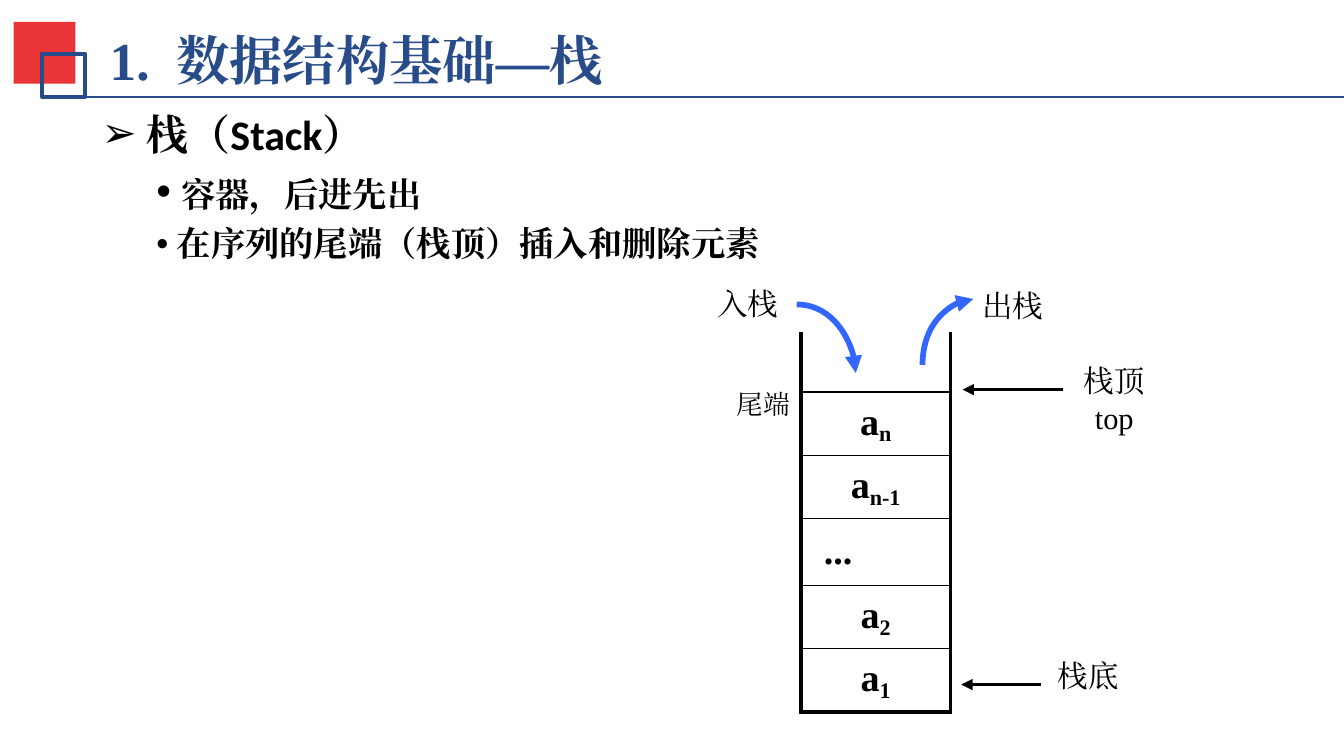
from lxml import etree
from pptx import Presentation
from pptx.dml.color import RGBColor
from pptx.enum import shapes, text
from pptx.oxml import ns
from pptx.util import Pt

NAVY = RGBColor(0x28, 0x4C, 0x8A)
RED = RGBColor(0xE9, 0x35, 0x38)
BLUE = RGBColor(0x33, 0x66, 0xFF)
BLACK = RGBColor(0, 0, 0)
SERIF = "Times New Roman"
CENTER = text.PP_ALIGN.CENTER
STRAIGHT, CURVE = shapes.MSO_CONNECTOR.STRAIGHT, shapes.MSO_CONNECTOR.CURVE


def write(p, words, size=16, font=SERIF, color=BLACK, bold=False, base=0, spacing=0):
    """Append one formatted run to a paragraph."""
    r = p.add_run()
    r.text = words
    r.font.size, r.font.name, r.font.bold = Pt(size), font, bold
    r.font.color.rgb = color
    rPr = r.font._element
    etree.SubElement(rPr, ns.qn("a:ea")).set("typeface", SERIF)
    if base:
        rPr.set("baseline", str(base * 1000))
    if spacing:
        rPr.set("spc", str(spacing * 100))


def connect(x1, y1, x2, y2, color=BLACK, width=1.75, kind=STRAIGHT, arrow=True, turn=0):
    """Draw a straight or quarter-curve connector, with an arrowhead at its end."""
    c = s.shapes.add_connector(kind, Pt(x1), Pt(y1), Pt(x2), Pt(y2))
    c.line.color.rgb, c.line.width = color, Pt(width)
    spPr = c._element.spPr
    if arrow:
        etree.SubElement(c.line._ln, ns.qn("a:tailEnd")).set("type", "triangle")
    if kind == CURVE:
        spPr.find(ns.qn("a:prstGeom")).set("prst", "curvedConnector2")
    if turn:
        spPr.find(ns.qn("a:xfrm")).set("rot", str(turn * 60000))
    etree.SubElement(spPr, ns.qn("a:effectLst"))


prs = Presentation()
prs.slide_width, prs.slide_height = Pt(705.6), Pt(396.8)
s = prs.slides.add_slide(prs.slide_layouts[6])

# Title with its two squares and rule
tf = s.shapes.add_textbox(Pt(52.6), Pt(11.5), Pt(497.5), Pt(39.6)).text_frame
tf.word_wrap = True
tf.margin_left = tf.margin_right = Pt(5)
tf.margin_top = tf.margin_bottom = Pt(2.9)
p = tf.paragraphs[0]
title = dict(size=28, color=NAVY, bold=True)
write(p, "1.", **title)
write(p, " ", spacing=7, **title)
write(p, "数据结构基础—栈", font="Arial", **title)

for x, y, side, fill in [(7.2, 11.5, 32.4, RED), (22, 28.2, 22.6, None)]:
    sp = s.shapes.add_shape(shapes.MSO_SHAPE.RECTANGLE, Pt(x), Pt(y), Pt(side), Pt(side))
    sp.shadow.inherit = False
    if fill:
        sp.fill.solid()
        sp.fill.fore_color.rgb = fill
        sp.line.fill.background()
    else:
        sp.fill.background()
        sp.line.color.rgb, sp.line.width = NAVY, Pt(2)
connect(27.4, 51, 705.6, 51, NAVY, 0.75, arrow=False)

# Bulleted points: mark, left margin, first-line indent, runs with sizes
points = [
    ("➢", 23.8, -23.8, [("栈（Stack）", 22)]),
    ("•", 28.8, 0, [(" ", 22), ("容器，后进先出", 18)]),
    ("•", 28.8, 0, [(" 在序列的尾端（栈顶）插入和删除元素", 18)]),
]
tf = s.shapes.add_textbox(Pt(46.8), Pt(54), Pt(618.5), Pt(288)).text_frame
tf.word_wrap = True
tf.margin_left = tf.margin_right = Pt(6.5)
tf.margin_top = tf.margin_bottom = Pt(2.9)
for i, (mark, margin, indent, runs) in enumerate(points):
    p = tf.add_paragraph() if i else tf.paragraphs[0]
    pPr = p._p.get_or_add_pPr()
    pPr.set("marL", str(int(Pt(margin))))
    pPr.set("indent", str(int(Pt(indent))))
    p.space_before = Pt(runs[-1][1] * 0.2)
    etree.SubElement(pPr, ns.qn("a:buFont")).set("typeface", "Arial")
    etree.SubElement(pPr, ns.qn("a:buChar")).set("char", mark)
    for words, size in runs:
        write(p, words, size, "Calibri", bold=True)

# Stack: open at the top, one element per cell
cells = [("", "", 31.5), ("a", "n", 33), ("a", "n-1", 33),
         ("...", "", 35.2), ("a", "2", 33), ("a", "1", 33)]
height = sum(h for _, _, h in cells)
table = s.shapes.add_table(len(cells), 1, Pt(420.5), Pt(174.4), Pt(78.5), Pt(height)).table
table.first_row = table.horz_banding = False
for i, (name, index, h) in enumerate(cells):
    table.rows[i].height = Pt(h)
    cell = table.cell(i, 0)
    cell.vertical_anchor = text.MSO_ANCHOR.MIDDLE
    p = cell.text_frame.paragraphs[0]
    if name:
        p.space_before = Pt(3)
        write(p, name, 20, bold=True)
    if index:
        p.alignment = CENTER
        write(p, index, 20, bold=True, base=-18)
    elif name:
        cell.margin_left = Pt(12)
    tcPr = cell._tc.get_or_add_tcPr()
    borders = {"L": 2.25, "R": 2.25, "T": 1 if i else 0,
               "B": 2.25 if i == len(cells) - 1 else 1}
    for side, width in borders.items():
        ln = etree.SubElement(tcPr, ns.qn("a:ln" + side), w=str(int(Pt(width))))
        if width:
            fill = etree.SubElement(ln, ns.qn("a:solidFill"))
            etree.SubElement(fill, ns.qn("a:srgbClr")).set("val", str(BLACK))
        else:
            etree.SubElement(ln, ns.qn("a:noFill"))
    cell.fill.background()

# Labels around the stack: lines, left, top, width, height, size
labels = [
    (["栈底"], 546.5, 341.3, 49.7, 26.6, 16),
    (["栈顶", "top"], 550.8, 186.5, 68.4, 46, 16),
    (["入栈"], 357.1, 146.2, 70.6, 26.6, 16),
    (["出栈"], 506.2, 146.9, 51.1, 26.6, 16),
    (["尾端"], 386.6, 200.2, 37.4, 24.5, 14),
]
for lines, x, y, w, h, size in labels:
    tf = s.shapes.add_textbox(Pt(x), Pt(y), Pt(w), Pt(h)).text_frame
    tf.word_wrap = True
    p = tf.paragraphs[0]
    p.space_before = Pt(size * 0.2)
    if size == 16:
        p.alignment = CENTER
    else:
        tf.margin_left = tf.margin_right = 0
    for i, line in enumerate(lines):
        if i:
            p.add_line_break()
        write(p, line, size)

# Pointers to bottom and top, then the push and pop arrows
connect(546.5, 359.3, 504.7, 359.3)
connect(558, 204.5, 505.4, 204.5)
connect(418.3, 159.8, 449.3, 195.8, BLUE, 3, CURVE)
connect(480.4, 160.9, 515, 187.6, BLUE, 3, CURVE, turn=270)

prs.save("out.pptx")
